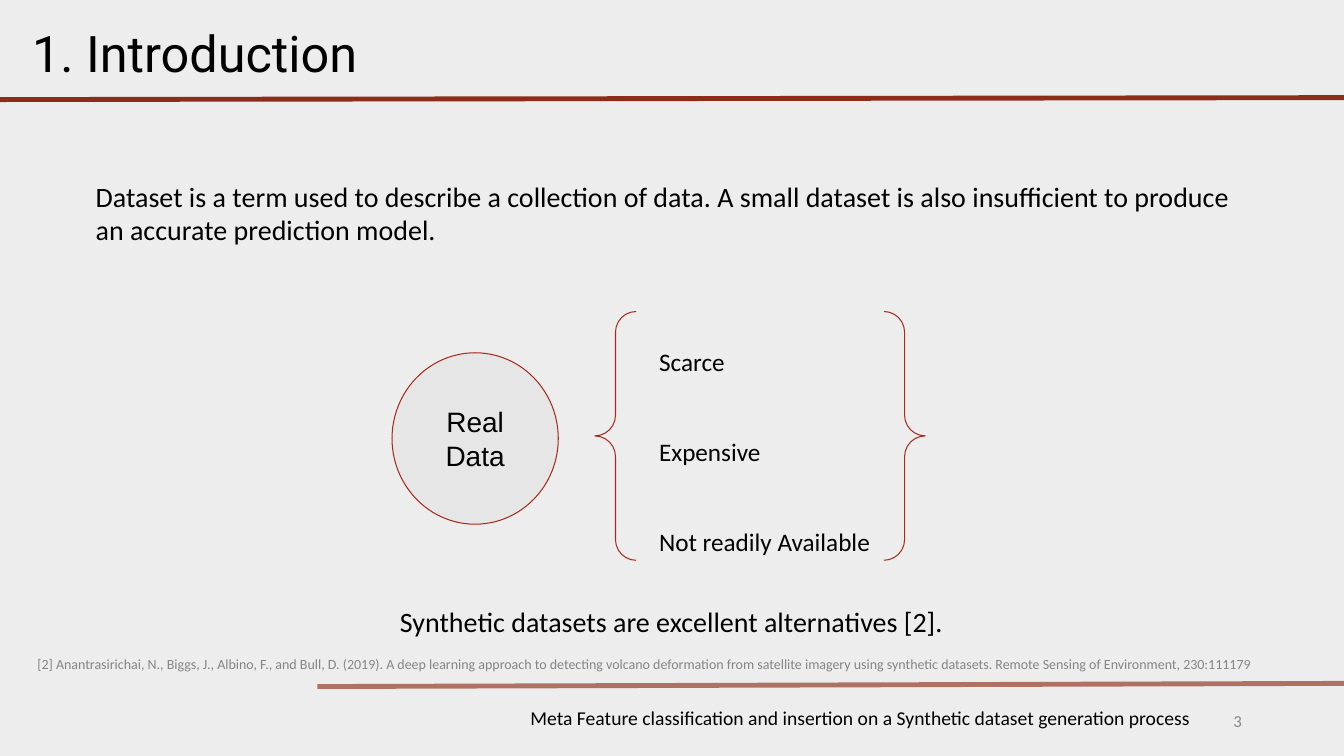
from dataclasses import dataclass

from lxml.etree import SubElement
from pptx import Presentation
from pptx.dml.color import RGBColor
from pptx.enum.shapes import MSO_CONNECTOR as Connector, MSO_SHAPE as Preset
from pptx.enum.text import MSO_ANCHOR as Anchor, PP_ALIGN as Align
from pptx.oxml.ns import qn
from pptx.shapes.autoshape import Shape
from pptx.slide import Slide
from pptx.util import Cm, Pt


@dataclass(frozen=True)
class Theme:
    background: RGBColor = RGBColor(0xED, 0xED, 0xED)
    rule: RGBColor = RGBColor(0x8C, 0x2D, 0x19)
    outline: RGBColor = RGBColor(0xA7, 0x2A, 0x1E)
    circle: RGBColor = RGBColor(0xE7, 0xE6, 0xE6)
    ink: RGBColor = RGBColor(0, 0, 0)
    number: RGBColor = RGBColor(0x88, 0x88, 0x88)
    citation: RGBColor = RGBColor(0x85, 0x85, 0x85)
    title_font: str = "Roboto"
    body_font: str = "Calibri"
    circle_font: str = "Arial"
    title_size: float = 36
    body_size: float = 20
    list_size: float = 18
    footer_size: float = 14
    number_size: float = 12
    citation_size: float = 10
    rule_width: float = 3.5
    outline_width: float = 0.75


THEME = Theme()


@dataclass(frozen=True)
class Frame:
    """A rectangle in centimetres."""
    left: float
    top: float
    width: float
    height: float

    def lengths(self) -> tuple[Cm, Cm, Cm, Cm]:
        return Cm(self.left), Cm(self.top), Cm(self.width), Cm(self.height)


@dataclass(frozen=True)
class Style:
    size: float = THEME.body_size
    font: str = THEME.body_font
    color: RGBColor = THEME.ink
    align: Align = Align.LEFT
    anchor: Anchor = Anchor.TOP
    inset: float = 0.25  # top and bottom, in centimetres
    line_spacing: float = 1.0
    gap: float = 0  # points between paragraphs


@dataclass(frozen=True)
class TextBlock:
    frame: Frame
    text: str
    style: Style


@dataclass(frozen=True)
class Rule:
    """A line in centimetres, with its opacity in percent."""
    start: tuple[float, float]
    end: tuple[float, float]
    opacity: int = 100


RULES = [
    Rule((0, 2.51), (33.87, 2.46)),
    Rule((8, 17.3), (33.87, 17.22), opacity=64),
]

TITLE = TextBlock(Frame(0.56, 0.43, 32.74, 1.8), "1. Introduction",
                  Style(THEME.title_size, THEME.title_font, inset=0.13))
CIRCLE = TextBlock(Frame(9.88, 8.89, 4.19, 4.32), "Real Data",
                   Style(font=THEME.circle_font, align=Align.CENTER, anchor=Anchor.MIDDLE))
BRACES = Frame(14.99, 7.85, 8.33, 6.27)

TEXTS = [
    TextBlock(Frame(23.93, 17.65, 7.62, 1.02), "3",
              Style(THEME.number_size, color=THEME.number, align=Align.RIGHT,
                    anchor=Anchor.MIDDLE, inset=0.13)),
    TextBlock(Frame(16.36, 8.1, 7.62, 5.89), "Scarce\nExpensive\nNot readily Available",
              Style(THEME.list_size, line_spacing=1.5, gap=32)),
    TextBlock(Frame(2.16, 4.27, 29.51, 2.24),
              "Dataset is a term used to describe a collection of data. A small dataset is also "
              "insufficient to produce an accurate prediction model.", Style()),
    TextBlock(Frame(8.36, 14.99, 17.12, 1.37),
              "Synthetic datasets are excellent alternatives [2].", Style(align=Align.CENTER)),
    TextBlock(Frame(11.18, 17.65, 21.01, 1.02),
              "Meta Feature classification and insertion on a Synthetic dataset generation process",
              Style(THEME.footer_size, align=Align.CENTER, inset=0.13)),
    TextBlock(Frame(0.69, 16.38, 32.49, 0.69),
              "[2] Anantrasirichai, N., Biggs, J., Albino, F., and Bull, D. (2019). A deep learning "
              "approach to detecting volcano deformation from satellite imagery using synthetic "
              "datasets. Remote Sensing of Environment, 230:111179",
              Style(THEME.citation_size, color=THEME.citation, inset=0.13)),
]


def write(shape: Shape, text: str, style: Style) -> None:
    frame = shape.text_frame
    frame.text = text
    frame.word_wrap = True
    frame.vertical_anchor = style.anchor
    frame.margin_left = frame.margin_right = Cm(0.25)
    frame.margin_top = frame.margin_bottom = Cm(style.inset)
    for index, para in enumerate(frame.paragraphs):
        para.alignment = style.align
        para.line_spacing = style.line_spacing
        para.space_before = Pt(style.gap if index else 0)
        for span in para.runs:
            span.font.size = Pt(style.size)
            span.font.name = style.font
            span.font.color.rgb = style.color


def add_title(page: Slide, block: TextBlock) -> None:
    title = page.shapes.title
    title.left, title.top, title.width, title.height = block.frame.lengths()
    write(title, block.text, block.style)


def add_text(page: Slide, block: TextBlock) -> None:
    write(page.shapes.add_textbox(*block.frame.lengths()), block.text, block.style)


def add_rule(page: Slide, rule: Rule) -> None:
    line = page.shapes.add_connector(Connector.STRAIGHT, *map(Cm, rule.start + rule.end))
    line.line.color.rgb = THEME.rule
    line.line.width = Pt(THEME.rule_width)
    properties = line._element.spPr
    if rule.opacity < 100:
        color = properties.find(".//" + qn("a:srgbClr"))
        SubElement(color, qn("a:alpha")).set("val", str(rule.opacity * 1000))
    SubElement(properties, qn("a:effectLst"))


def add_outlined(page: Slide, preset: Preset, frame: Frame) -> Shape:
    shape = page.shapes.add_shape(preset, *frame.lengths())
    shape.shadow.inherit = False
    shape.fill.background()
    shape.line.color.rgb = THEME.outline
    shape.line.width = Pt(THEME.outline_width)
    return shape


def main() -> None:
    deck = Presentation()
    deck.slide_width, deck.slide_height = Cm(33.87), Cm(19.05)
    page = deck.slides.add_slide(deck.slide_layouts.get_by_name("Title Only"))
    page.background.fill.solid()
    page.background.fill.fore_color.rgb = THEME.background

    add_title(page, TITLE)
    for rule in RULES:
        add_rule(page, rule)
    circle = add_outlined(page, Preset.OVAL, CIRCLE.frame)
    circle.fill.solid()
    circle.fill.fore_color.rgb = THEME.circle
    write(circle, CIRCLE.text, CIRCLE.style)
    add_outlined(page, Preset.DOUBLE_BRACE, BRACES)
    for block in TEXTS:
        add_text(page, block)
    deck.save("out.pptx")


if __name__ == "__main__":
    main()
